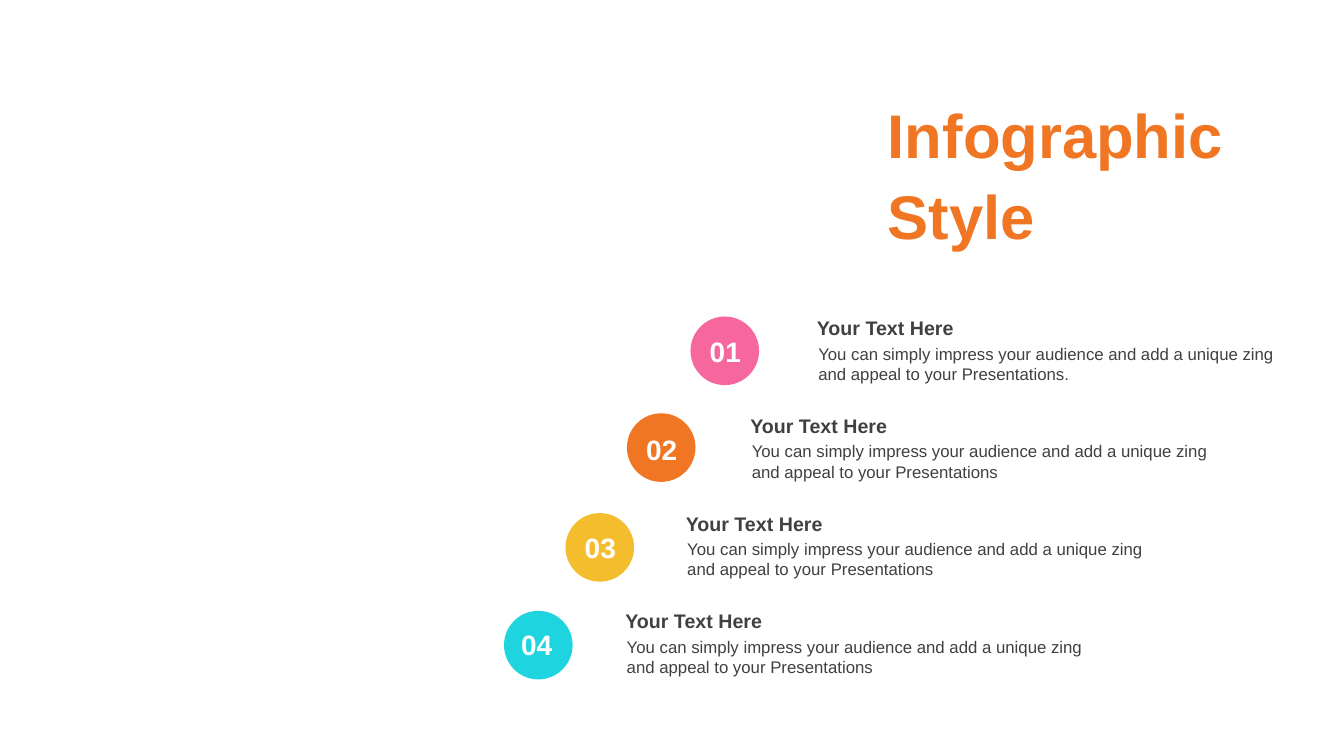
"""Build a slide with a title and four numbered steps along a diagonal."""
import pptx
import pptx.util
import pptx.dml.color
import pptx.enum.shapes
import pptx.enum.text

Pt = pptx.util.Pt
RGB = pptx.dml.color.RGBColor.from_string
ALIGN = pptx.enum.text.PP_ALIGN
ANCHOR = pptx.enum.text.MSO_ANCHOR

COLORS = {
    "pink": "F5679D",
    "orange": "F07624",
    "yellow": "F4BD2D",
    "cyan": "1ED4DE",
    "white": "FFFFFF",
    "gray": "404040",
}

deck = pptx.Presentation()
deck.slide_width, deck.slide_height = Pt(960), Pt(540)
slide = deck.slides.add_slide(deck.slide_layouts[6])


def write(box, text, size, color, bold=True, align=ALIGN.LEFT, anchor=ANCHOR.TOP):
    """Add a wrapped text box and return its paragraph."""
    frame = slide.shapes.add_textbox(*map(Pt, box)).text_frame
    frame.word_wrap = True
    frame.vertical_anchor = anchor
    line = frame.paragraphs[0]
    line.text = text
    line.alignment = align
    line.font.name = "Arial"
    line.font.size = Pt(size)
    line.font.bold = bold
    line.font.color.rgb = RGB(COLORS[color])
    return line


body = "You can simply impress your audience and add a unique zing and appeal to your Presentations"
steps = [
    ("pink", 493.2, 226.1, 488.9, 577.4, "."),
    ("orange", 447.8, 295.2, 443.5, 529.9, ""),
    ("yellow", 403.9, 366.5, 399.6, 483.8, ""),
    ("cyan", 360, 436.3, 354.2, 440.6, ""),
]
pitch = 69.7

for row, (color, left, top, num, text, end) in enumerate(steps):
    disc = slide.shapes.add_shape(
        pptx.enum.shapes.MSO_SHAPE.OVAL, Pt(left), Pt(top), Pt(49), Pt(49))
    disc.shadow.inherit = False
    disc.fill.solid()
    disc.fill.fore_color.rgb = RGB(COLORS[color])
    disc.line.fill.background()
    drop = row * pitch
    write((num, 235.4 + drop, 58.3, 31.7), f"{row + 1:02}", 20, "white",
          align=ALIGN.CENTER, anchor=ANCHOR.MIDDLE)
    write((text, 241.9 + drop, 346.3, 36), body + end, 12, "gray", bold=False)
    write((text - 1, 222.4 + drop, 343.4, 24.5), "Your Text Here", 14, "gray")

title = write((627.1, 36, 296.6, 172.1), "Infographic Style", 44, "orange",
              anchor=ANCHOR.MIDDLE)
title.line_spacing = 1.1

deck.save("out.pptx")
